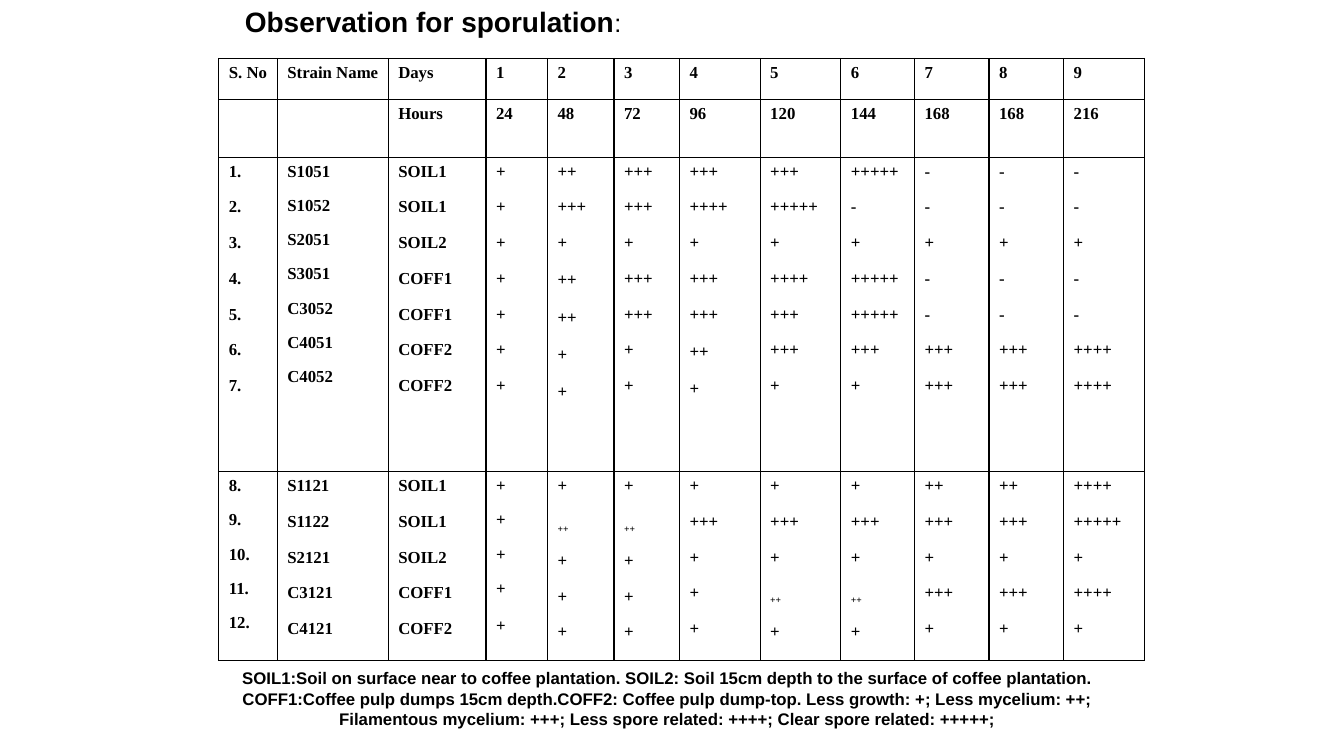
from dataclasses import dataclass

from lxml import etree
from pptx import Presentation
from pptx.dml.color import RGBColor
from pptx.enum.text import MSO_ANCHOR, PP_ALIGN
from pptx.oxml.ns import qn
from pptx.util import Emu, Pt

PX = 9144
TOP = MSO_ANCHOR.TOP
LEFT, CENTER = PP_ALIGN.LEFT, PP_ALIGN.CENTER
SUBSCRIPT = "~"


@dataclass(frozen=True)
class Theme:
    ink: str = "000000"
    sans: str = "Arial"
    serif: str = "Times New Roman"
    title: int = 20
    colon: int = 18
    body: int = 12
    border: int = 1
    tight: float = 11.1
    normal: float = 12.2
    loose: float = 13.3


THEME = Theme()

COLUMNS = [58, 110, 97, 61, 66, 65, 80, 80, 73, 74, 74, 80]
ROWS = [41, 57, 312, 187]

DAYS = ["S. No", "Strain Name", "Days", *"123456789"]
HOURS = ["", "", "Hours", "24", "48", "72", "96", "120", "144", "168", "168", "216"]

FIRST_STRAINS = [
    "1. S1051 SOIL1 + ++ +++ +++ +++ +++++ - - -",
    "2. S1052 SOIL1 + +++ +++ ++++ +++++ - - - -",
    "3. S2051 SOIL2 + + + + + + + + +",
    "4. S3051 COFF1 + ++ +++ +++ ++++ +++++ - - -",
    "5. C3052 COFF1 + ++ +++ +++ +++ +++++ - - -",
    "6. C4051 COFF2 + + + ++ +++ +++ +++ +++ ++++",
    "7. C4052 COFF2 + + + + + + +++ +++ ++++",
]
SECOND_STRAINS = [
    "8. S1121 SOIL1 + + + + + + ++ ++ ++++",
    "9. S1122 SOIL1 + ~++ ~++ +++ +++ +++ +++ +++ +++++",
    "10. S2121 SOIL2 + + + + + + + + +",
    "11. C3121 COFF1 + + + + ~++ ~++ +++ +++ ++++",
    "12. C4121 COFF2 + + + + + + + + +",
]

FIRST_GAPS = {
    1: [THEME.tight] * 6,
    4: [THEME.normal] * 2 + [THEME.loose] * 4,
    6: [THEME.normal] * 4 + [THEME.loose] * 2,
}
SECOND_GAPS = {
    0: [THEME.tight] * 4,
    3: [THEME.tight] * 3 + [THEME.loose],
}

LEGEND = (
    "SOIL1:Soil on surface near to coffee plantation. "
    "SOIL2: Soil 15cm depth to the surface of coffee plantation. "
    "COFF1:Coffee pulp dumps 15cm depth.COFF2: Coffee pulp dump-top. "
    "Less growth: +; Less mycelium: ++; Filamentous mycelium: +++; "
    "Less spore related: ++++; Clear spore related: +++++;"
)


def px(n):
    return Emu(n * PX)


def style_run(r, size, font, bold=True):
    r.font.size = Pt(size)
    r.font.name = font
    r.font.bold = bold
    r.font.color.rgb = RGBColor.from_string(THEME.ink)


def add_text(s, box, text, size, align=LEFT):
    tf = s.shapes.add_textbox(*map(px, box)).text_frame
    tf.word_wrap = True
    tf.vertical_anchor = TOP
    tf.text = text
    p = tf.paragraphs[0]
    p.alignment = align
    style_run(p.runs[0], size, THEME.sans)
    return p


def add_borders(cell):
    tc_pr = cell._tc.get_or_add_tcPr()
    for side in ("a:lnL", "a:lnR", "a:lnT", "a:lnB"):
        ln = etree.SubElement(tc_pr, qn(side), w=str(Pt(THEME.border)))
        fill = etree.SubElement(ln, qn("a:solidFill"))
        etree.SubElement(fill, qn("a:srgbClr"), val=THEME.ink)


def fill_cell(cell, lines, gaps):
    add_borders(cell)
    cell.fill.background()
    cell.margin_right = px(5)
    tf = cell.text_frame
    tf.text = "\n".join(line.lstrip(SUBSCRIPT) for line in lines)
    for i, (p, line) in enumerate(zip(tf.paragraphs, lines)):
        p_pr = p._p.get_or_add_pPr()
        p_pr.set("marL", str(px(38)))
        p_pr.set("indent", str(px(-38)))
        if i:
            p.space_before = Pt(gaps[i - 1])
        for r in p.runs:
            style_run(r, THEME.body, THEME.serif)
            if line.startswith(SUBSCRIPT):
                r.font._element.set("baseline", "-30000")


def add_observations(s, left, top):
    frame = s.shapes.add_table(
        len(ROWS), len(COLUMNS), px(left), px(top), px(sum(COLUMNS)), px(sum(ROWS))
    )
    table = frame.table
    table.first_row = False
    table.horz_banding = False
    for column, width in zip(table.columns, COLUMNS):
        column.width = px(width)
    for row, height in zip(table.rows, ROWS):
        row.height = px(height)
    blocks = [
        ([DAYS], {}),
        ([HOURS], {}),
        ([line.split() for line in FIRST_STRAINS], FIRST_GAPS),
        ([line.split() for line in SECOND_STRAINS], SECOND_GAPS),
    ]
    for i, (records, gaps) in enumerate(blocks):
        for j, lines in enumerate(zip(*records)):
            even = [THEME.normal] * (len(lines) - 1)
            fill_cell(table.cell(i, j), lines, gaps.get(j, even))


def main():
    prs = Presentation()
    prs.slide_width, prs.slide_height = px(1333), px(750)
    s = prs.slides.add_slide(prs.slide_layouts[6])
    title = add_text(s, (233, 0, 525, 43), "Observation for sporulation", THEME.title)
    colon = title.add_run()
    colon.text = ":"
    style_run(colon, THEME.colon, THEME.sans, bold=False)
    add_observations(s, 217, 58)
    add_text(s, (183, 658, 958, 70), LEGEND, THEME.body, CENTER)
    prs.save("out.pptx")


if __name__ == "__main__":
    main()
